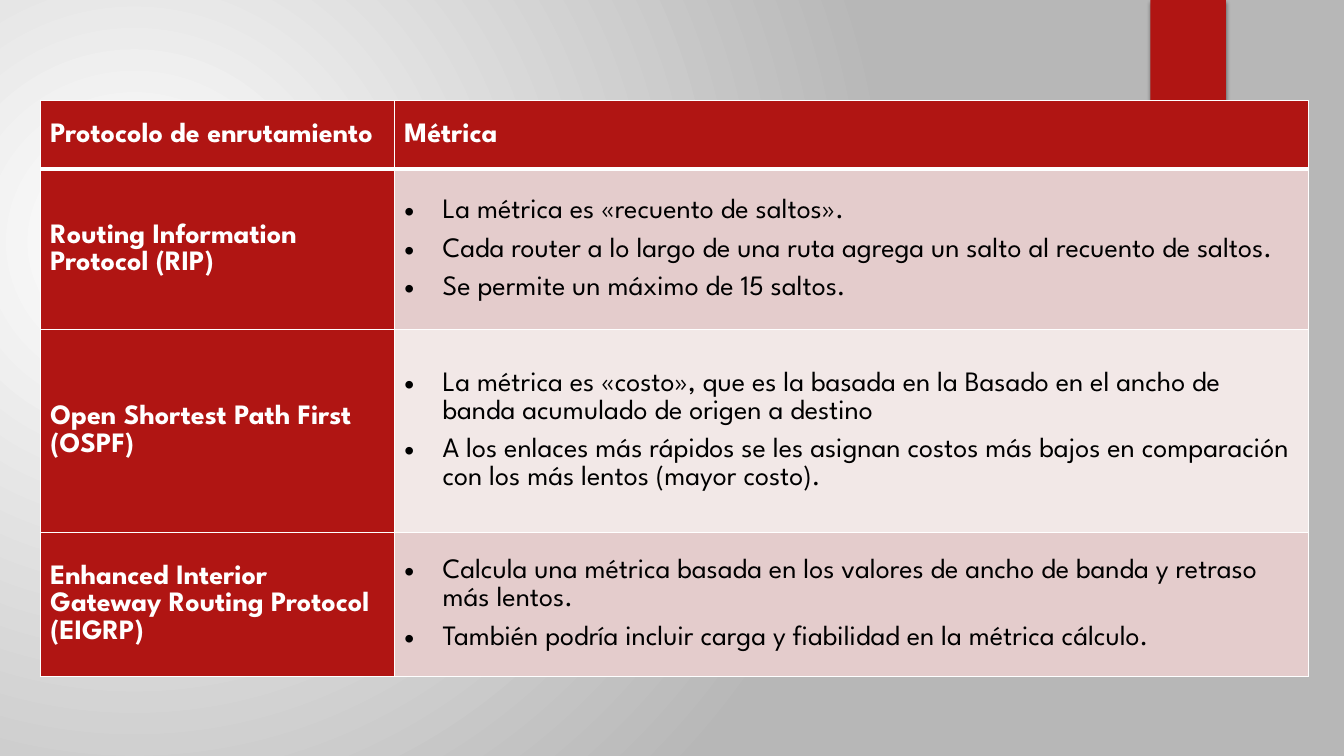
from pptx import Presentation
from pptx.dml.color import RGBColor
from pptx.enum.shapes import MSO_SHAPE
from pptx.enum.text import MSO_ANCHOR
from pptx.oxml import parse_xml
from pptx.oxml.ns import nsdecls
from pptx.util import Inches, Pt

FONT = "League Spartan"
RED = RGBColor(0xB0, 0x15, 0x13)
WHITE = RGBColor(0xFF, 0xFF, 0xFF)
BLACK = RGBColor(0, 0, 0)
GRAY = RGBColor(0xB7, 0xB7, 0xB7)
GLOW = RGBColor(0xF3, 0xF3, 0xF3)
ROSE = RGBColor(0xE4, 0xCC, 0xCC)
PALE_ROSE = RGBColor(0xF2, 0xE8, 0xE7)

HEADINGS = ("Protocolo de enrutamiento", "Métrica")
PROTOCOLS = [
    ("Routing Information Protocol (RIP)", [
        "La métrica es «recuento de saltos».",
        "Cada router a lo largo de una ruta agrega un salto al recuento de saltos.",
        "Se permite un máximo de 15 saltos.",
    ]),
    ("Open Shortest Path First (OSPF)", [
        "La métrica es «costo», que es la basada en la Basado en el ancho de "
        "banda acumulado de origen a destino",
        "A los enlaces más rápidos se les asignan costos más bajos en "
        "comparación con los más lentos (mayor costo).",
    ]),
    ("Enhanced Interior Gateway Routing Protocol (EIGRP)", [
        "Calcula una métrica basada en los valores de ancho de banda y retraso "
        "más lentos.",
        "También podría incluir carga y fiabilidad en la métrica cálculo.",
    ]),
]
COLUMN_WIDTHS = (3.51, 9.07)
ROW_HEIGHTS = (0.68, 1.59, 2.01, 1.43)


def paint_radial(fill, stops, focus):
    """Stops are (position %, colour, opacity %); focus is left, top, right, bottom in %."""
    fill.solid()
    parent = fill._xPr
    stop_xml = "".join(
        f'<a:gs pos="{position * 1000}"><a:srgbClr val="{color}">'
        f'<a:alpha val="{opacity * 1000}"/></a:srgbClr></a:gs>'
        for position, color, opacity in stops)
    left, top, right, bottom = (side * 1000 for side in focus)
    gradient = parse_xml(
        f'<a:gradFill {nsdecls("a")} rotWithShape="1"><a:gsLst>{stop_xml}</a:gsLst>'
        f'<a:path path="circle"><a:fillToRect l="{left}" t="{top}" r="{right}" '
        f'b="{bottom}"/></a:path></a:gradFill>')
    parent.replace(parent.find("{*}solidFill"), gradient)


def add_plain_shape(page, kind, left, top, width, height):
    shape = page.shapes.add_shape(
        kind, Inches(left), Inches(top), Inches(width), Inches(height))
    shape.shadow.inherit = False
    shape.line.fill.background()
    return shape


def add_backdrop(page):
    paint_radial(page.background.fill, [(0, WHITE, 100), (100, GRAY, 100)],
                 (45, 65, 125, 100))

    # Faint glow
    glow = add_plain_shape(page, MSO_SHAPE.OVAL, 9.41, 1.83, 3.08, 3.08)
    paint_radial(glow.fill, [(0, GLOW, 7), (36, GLOW, 6), (69, GLOW, 0)],
                 (50, 50, 50, 50))

    # Red ribbon with a soft shadow
    ribbon = add_plain_shape(page, MSO_SHAPE.RECTANGLE, 11.41, 0, 0.75, 1.25)
    ribbon.fill.solid()
    ribbon.fill.fore_color.rgb = RED
    effects = ribbon._element.spPr.find("{*}effectLst")
    effects.append(parse_xml(
        f'<a:outerShdw {nsdecls("a")} blurRad="{Pt(3)}" dist="{Pt(2)}" dir="5400000" '
        f'rotWithShape="0"><a:srgbClr val="{BLACK}"><a:alpha val="45000"/>'
        f'</a:srgbClr></a:outerShdw>'))


def add_bullet(para):
    props = para._p.get_or_add_pPr()
    props.set("marL", str(Inches(0.38)))
    props.set("indent", str(-Inches(0.38)))
    for xml in (f'<a:buFont {nsdecls("a")} typeface="Arial"/>',
                f'<a:buChar {nsdecls("a")} char="•"/>',
                f'<a:tabLst {nsdecls("a")}><a:tab pos="{Inches(0.5)}" algn="l"/></a:tabLst>'):
        props.append(parse_xml(xml))


def set_borders(cell, top=1, bottom=1):
    props = cell._tc.get_or_add_tcPr()
    for side, points in (("L", 1), ("R", 1), ("T", top), ("B", bottom)):
        props.append(parse_xml(
            f'<a:ln{side} {nsdecls("a")} w="{Pt(points)}"><a:solidFill>'
            f'<a:srgbClr val="{WHITE}"/></a:solidFill></a:ln{side}>'))


def fill_cell(cell, lines, background, color, bold=False, bullets=False):
    cell.fill.solid()
    cell.fill.fore_color.rgb = background
    cell.vertical_anchor = MSO_ANCHOR.MIDDLE
    cell.margin_left = cell.margin_right = Inches(0.1)
    cell.margin_top = cell.margin_bottom = Inches(0.04)
    frame = cell.text_frame
    for index, line in enumerate(lines):
        para = frame.add_paragraph() if index else frame.paragraphs[0]
        if bullets:
            add_bullet(para)
        para.text = line
        para.line_spacing = 1.07
        para.space_after = Pt(8)
        para.font.name = FONT
        para.font.size = Pt(20)
        para.font.bold = bold
        para.font.color.rgb = color


def add_protocol_table(page, left, top):
    table = page.shapes.add_table(
        len(ROW_HEIGHTS), len(COLUMN_WIDTHS), Inches(left), Inches(top),
        Inches(sum(COLUMN_WIDTHS)), Inches(sum(ROW_HEIGHTS))).table
    table.first_col = True
    for column, width in zip(table.columns, COLUMN_WIDTHS):
        column.width = Inches(width)
    for number, (row, height) in enumerate(zip(table.rows, ROW_HEIGHTS)):
        row.height = Inches(height)
        for cell in row.cells:
            set_borders(cell, top=3 if number == 1 else 1, bottom=3 if number == 0 else 1)

    # Heading row
    for cell, heading in zip(table.rows[0].cells, HEADINGS):
        fill_cell(cell, [heading], RED, WHITE, bold=True)

    # One row for each protocol
    for number, (protocol, metrics) in enumerate(PROTOCOLS, start=1):
        band = ROSE if number % 2 else PALE_ROSE
        fill_cell(table.cell(number, 0), [protocol], RED, WHITE, bold=True)
        fill_cell(table.cell(number, 1), metrics, band, BLACK, bullets=True)


def main():
    deck = Presentation()
    deck.slide_width, deck.slide_height = Inches(13.33), Inches(7.5)
    page = deck.slides.add_slide(deck.slide_layouts[6])
    add_backdrop(page)
    add_protocol_table(page, 0.4, 1)
    deck.save("out.pptx")


if __name__ == "__main__":
    main()
